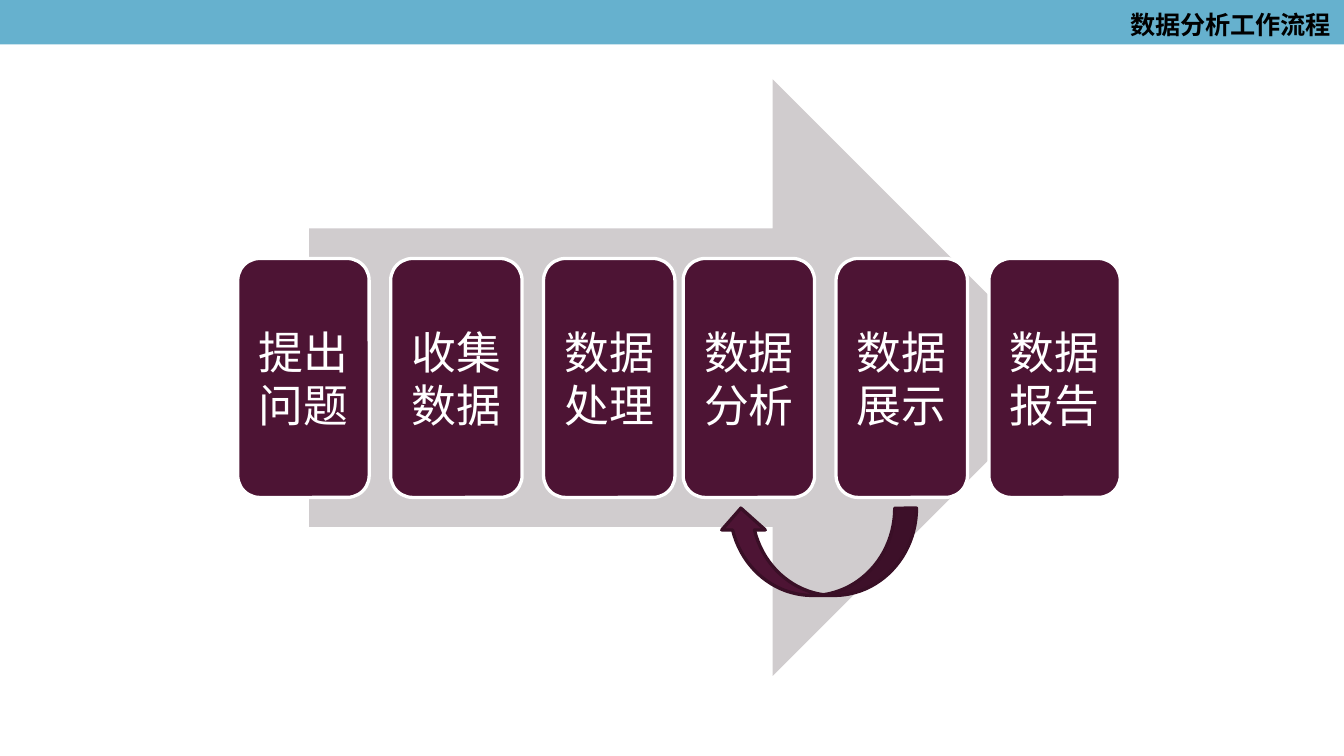
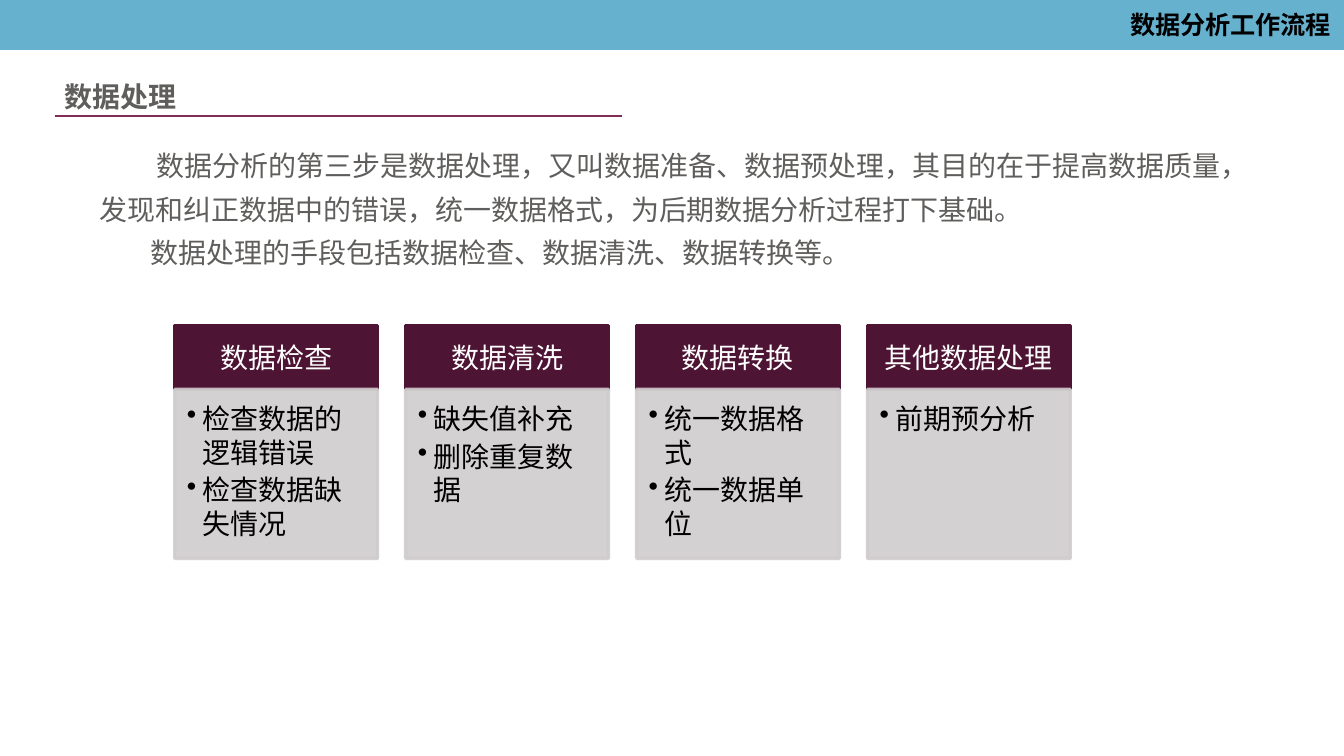
from dataclasses import dataclass

from lxml import etree
from pptx import Presentation
from pptx.dml.color import RGBColor
from pptx.enum.shapes import MSO_CONNECTOR, MSO_SHAPE
from pptx.enum.text import MSO_ANCHOR, PP_ALIGN
from pptx.oxml.ns import qn
from pptx.util import Pt

LEFT, CENTER, RIGHT = PP_ALIGN.LEFT, PP_ALIGN.CENTER, PP_ALIGN.RIGHT
TOP, MIDDLE = MSO_ANCHOR.TOP, MSO_ANCHOR.MIDDLE
RECTANGLE, ROUNDED = MSO_SHAPE.RECTANGLE, MSO_SHAPE.ROUNDED_RECTANGLE
RIGHT_ARROW, CURVED_ARROW = MSO_SHAPE.RIGHT_ARROW, MSO_SHAPE.CURVED_DOWN_ARROW
STRAIGHT = MSO_CONNECTOR.STRAIGHT


@dataclass(frozen=True)
class Theme:
    plum: str = "4D1434"
    dark_plum: str = "390F26"
    rule: str = "822C59"
    grey: str = "D0CCCE"
    blue: str = "66B1CE"
    body: str = "5F5E5C"
    white: str = "FFFFFF"
    black: str = "000000"
    title_size: float = 13.5
    text_size: float = 15
    step_size: float = 24
    outline: float = 1.75
    leading: float = 1.2
    body_leading: float = 1.56
    heading_font: str = "Noto Sans CJK SC"
    card_font: str = "Cabin"


theme = Theme()


def add_panel(slide, kind, bounds, fill, line=None, opacity=None):
    panel = slide.shapes.add_shape(kind, *map(Pt, bounds))
    panel.shadow.inherit = False
    panel.fill.solid()
    panel.fill.fore_color.rgb = RGBColor.from_string(fill)
    if line:
        panel.line.color.rgb = RGBColor.from_string(line)
        panel.line.width = Pt(theme.outline)
    else:
        panel.line.fill.background()
    if opacity:
        for color in panel.element.spPr.iter(qn("a:srgbClr")):
            etree.SubElement(color, qn("a:alpha")).set("val", str(opacity * 1000))
    return panel


def write(box, lines, size, color, font, align=LEFT, anchor=TOP, bold=False,
          insets=(7.2, 3.6, 7.2, 3.6), leading=theme.leading, indent=0, bullet=False):
    frame = box.text_frame
    frame.word_wrap = True
    frame.vertical_anchor = anchor
    frame.margin_left, frame.margin_top, frame.margin_right, frame.margin_bottom = map(Pt, insets)
    frame.text = "\n".join(lines)
    for para in frame.paragraphs:
        para.alignment = align
        para.line_spacing = Pt(round(size * leading, 1))
        properties = para._p.get_or_add_pPr()
        if indent:
            properties.set("marL", str(Pt(indent if bullet else 0)))
            properties.set("indent", str(Pt(-indent if bullet else indent)))
        if bullet:
            para.level = 1
            para.space_after = Pt(2.25)
            etree.SubElement(properties, qn("a:buChar")).set("char", "•")
        for span in para.runs:
            span.font.size = Pt(size)
            span.font.bold = bold
            span.font.name = font
            span.font.color.rgb = RGBColor.from_string(color)
            east_asian = etree.SubElement(span.font._element, qn("a:ea"))
            east_asian.set("typeface", theme.heading_font)


deck = Presentation()
deck.slide_width, deck.slide_height = Pt(720), Pt(405)
blank = deck.slide_layouts[6]

flow = deck.slides.add_slide(blank)
add_panel(flow, RIGHT_ARROW, (165.6, 42.5, 408.2, 319.7), theme.grey)
step_groups = [
    (127.4, ["提出问题", "收集数据", "数据处理"]),
    (366, ["数据分析", "数据展示", "数据报告"]),
]
for group_left, steps in step_groups:
    for index, step in enumerate(steps):
        card = add_panel(flow, ROUNDED, (group_left + index * 81.9, 138.5, 70.4, 128),
                         theme.plum, theme.white)
        write(card, [step], theme.step_size, theme.white, theme.card_font,
              CENTER, MIDDLE, insets=(4, 4, 4, 4))
loop_arrow = add_panel(flow, CURVED_ARROW, (385.2, 272.2, 105.8, 46.8), theme.plum, theme.dark_plum)
loop_arrow.rotation = 180

processing = deck.slides.add_slide(blank)
heading = processing.shapes.add_textbox(Pt(23.8), Pt(39), Pt(293.8), Pt(25.2))
write(heading, [" 数据处理"], theme.text_size, theme.body, theme.heading_font, bold=True)
underline = processing.shapes.add_connector(STRAIGHT, Pt(29.3), Pt(62), Pt(333.4), Pt(62))
underline.line.color.rgb = RGBColor.from_string(theme.rule)
underline.line.width = Pt(1)
etree.SubElement(underline.element.spPr, qn("a:effectLst"))
summary = processing.shapes.add_textbox(Pt(46), Pt(70.6), Pt(627), Pt(75.6))
write(summary, [
    " 数据分析的第三步是数据处理，又叫数据准备、数据预处理，其目的在于提高数据质量，"
    "发现和纠正数据中的错误，统一数据格式，为后期数据分析过程打下基础。",
    "数据处理的手段包括数据检查、数据清洗、数据转换等。",
], theme.text_size, theme.body, theme.heading_font, leading=theme.body_leading, indent=27.4)

methods = [
    ("数据检查", ["检查数据的逻辑错误", "检查数据缺失情况"]),
    ("数据清洗", ["缺失值补充", "删除重复数据"]),
    ("数据转换", ["统一数据格式", "统一数据单位"]),
    ("其他数据处理", ["前期预分析"]),
]
for index, (method, details) in enumerate(methods):
    left = 93.6 + index * 123.7
    label = add_panel(processing, RECTANGLE, (left, 174.4, 108.7, 34), theme.plum, theme.plum)
    write(label, [method], theme.text_size, theme.white, theme.card_font,
          CENTER, MIDDLE, insets=(8, 5, 8, 5))
    detail_box = add_panel(processing, RECTANGLE, (left, 208.6, 108.7, 90.6),
                           theme.grey, theme.grey, opacity=90)
    write(detail_box, details, theme.text_size, theme.black, theme.card_font,
          insets=(6.5, 6.5, 8.6, 9.4), indent=8.6, bullet=True)

for slide, band_top in ((flow, -5), (processing, -2)):
    add_panel(slide, RECTANGLE, (0, band_top, 720, 28.8), theme.blue)
    title = slide.shapes.add_textbox(Pt(231.8), Pt(1.5), Pt(488.2), Pt(23.8))
    write(title, ["数据分析工作流程"], theme.title_size, theme.black, theme.heading_font,
          RIGHT, bold=True)

deck.save("out.pptx")
